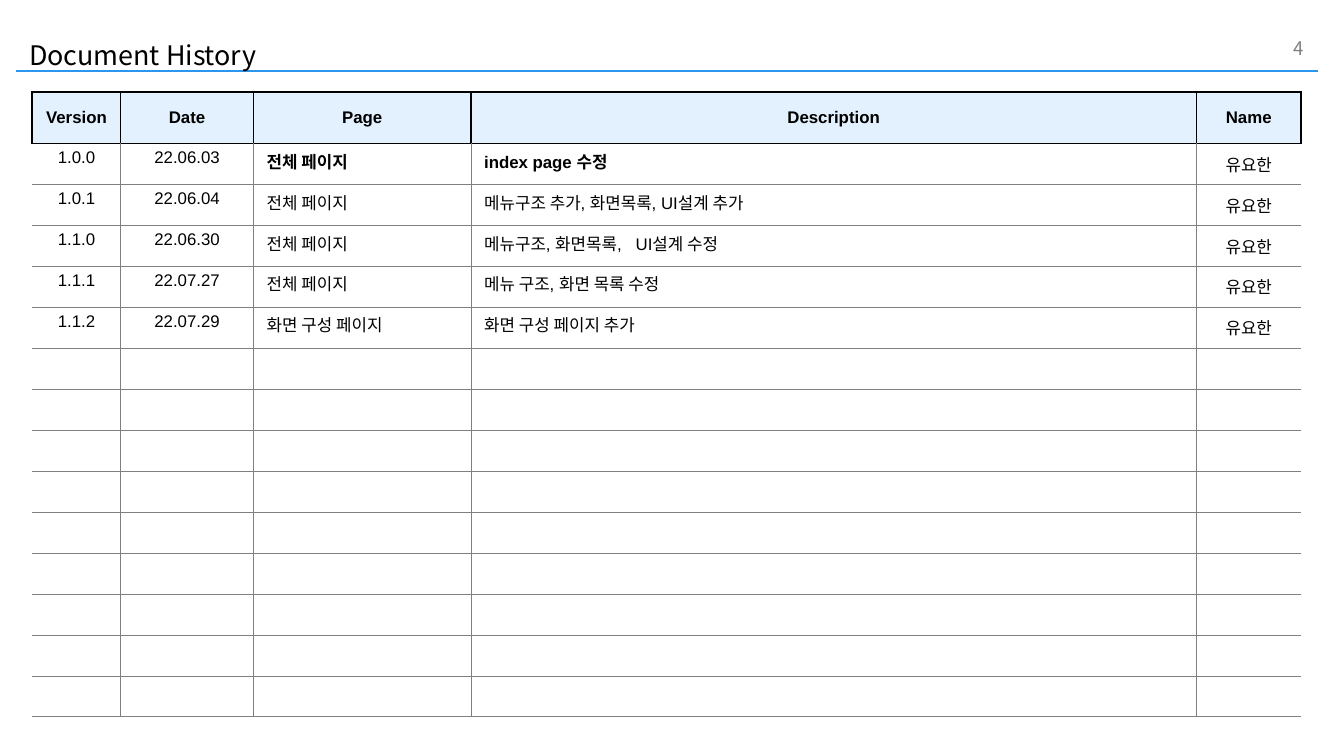
import lxml.etree
import pptx
import pptx.dml.color
import pptx.enum.shapes
import pptx.enum.text
import pptx.oxml.ns
import pptx.util

Cm = pptx.util.Cm
Pt = pptx.util.Pt
ALIGN = pptx.enum.text.PP_ALIGN
ANCHOR = pptx.enum.text.MSO_ANCHOR
qn = pptx.oxml.ns.qn

COLORS = {
    "accent": "2B96ED",
    "header": "E2F1FD",
    "body": "FFFFFF",
    "text": "000000",
    "grid": "808080",
}
KOREAN_FONT = "Noto Sans CJK KR"
HEADINGS = ["Version", "Date", "Page", "Description", "Name"]
COLUMN_WIDTHS = [1.67, 2.51, 4.11, 13.71, 1.98]
HISTORY = [
    ["1.0.0", "22.06.03", "전체 페이지", "index page 수정", "유요한"],
    ["1.0.1", "22.06.04", "전체 페이지", "메뉴구조 추가, 화면목록, UI설계 추가", "유요한"],
    ["1.1.0", "22.06.30", "전체 페이지", "메뉴구조, 화면목록,   UI설계 수정", "유요한"],
    ["1.1.1", "22.07.27", "전체 페이지", "메뉴 구조, 화면 목록 수정", "유요한"],
    ["1.1.2", "22.07.29", "화면 구성 페이지", "화면 구성 페이지 추가", "유요한"],
]
BODY_ROWS = 14
TABLE_HEIGHT = 11.81
HEADER_HEIGHT = 0.97


def rgb(name):
    return pptx.dml.color.RGBColor.from_string(COLORS[name])


def set_all(target, values):
    for name, value in values.items():
        setattr(target, name, value)


class SlideBuilder:
    def __init__(self, slide):
        self.slide = slide
        self.cell_size = Pt(9)
        self.cell_margins = {
            "margin_left": Cm(0.25), "margin_right": Cm(0.25),
            "margin_top": Cm(0.1), "margin_bottom": Cm(0.1),
        }

    def run(self, p, text, color="text", **font):
        r = p.add_run()
        r.text = text
        set_all(r.font, font)
        r.font.color.rgb = rgb(color)
        ea = lxml.etree.SubElement(r.font._element, qn("a:ea"))
        ea.set("typeface", KOREAN_FONT)

    def line(self, x1, y1, x2, y2, color, width):
        sp = self.slide.shapes.add_connector(
            pptx.enum.shapes.MSO_CONNECTOR.STRAIGHT, Cm(x1), Cm(y1), Cm(x2), Cm(y2))
        sp.line.color.rgb = rgb(color)
        sp.line.width = Pt(width)
        lxml.etree.SubElement(sp._element.spPr, qn("a:effectLst"))

    def text(self, x, y, w, h, text, size, color, align, anchor):
        tf = self.slide.shapes.add_textbox(Cm(x), Cm(y), Cm(w), Cm(h)).text_frame
        set_all(tf, {"word_wrap": True, "vertical_anchor": anchor,
                     "margin_top": 0, "margin_bottom": 0})
        p = tf.paragraphs[0]
        p.alignment = align
        self.run(p, text, color, name=KOREAN_FONT, size=Pt(size))

    def borders(self, cell, edges):
        """Draw each edge (L, R, T, B) from a (color, points) pair, or hide it if None."""
        tc_pr = cell._tc.get_or_add_tcPr()
        for i, side in enumerate("LRTB"):
            ln = lxml.etree.Element(qn("a:ln" + side))
            tc_pr.insert(i, ln)
            if edges[side] is None:
                lxml.etree.SubElement(ln, qn("a:noFill"))
                continue
            color, width = edges[side]
            ln.set("w", str(Pt(width)))
            fill = lxml.etree.SubElement(ln, qn("a:solidFill"))
            lxml.etree.SubElement(fill, qn("a:srgbClr")).set("val", COLORS[color])

    def cell(self, cell, text, fill, edges, align, middle, bold):
        set_all(cell, self.cell_margins)
        cell.vertical_anchor = ANCHOR.MIDDLE if middle else ANCHOR.TOP
        cell.fill.solid()
        cell.fill.fore_color.rgb = rgb(fill)
        self.borders(cell, edges)
        p = cell.text_frame.paragraphs[0]
        p.alignment = align
        if middle:
            p.space_before = Pt(2)
        if text:
            self.run(p, text, name="Arial", size=self.cell_size, bold=bold)
        else:
            p._p.get_or_add_endParaRPr().set("sz", str(self.cell_size.centipoints))

    def history_table(self, x, y):
        last = len(HEADINGS) - 1
        rows = [HEADINGS] + HISTORY
        rows += [[""] * len(HEADINGS)] * (BODY_ROWS - len(HISTORY))
        table = self.slide.shapes.add_table(
            len(rows), len(HEADINGS), Cm(x), Cm(y),
            Cm(sum(COLUMN_WIDTHS)), Cm(TABLE_HEIGHT)).table
        set_all(table, {"first_row": False, "horz_banding": False})
        for column, width in zip(table.columns, COLUMN_WIDTHS):
            column.width = Cm(width)
        body_height = (TABLE_HEIGHT - HEADER_HEIGHT) / BODY_ROWS
        strong, thin = ("text", 1), ("grid", 0.25)
        for i, values in enumerate(rows):
            header = i == 0
            table.rows[i].height = Cm(HEADER_HEIGHT if header else body_height)
            for j, value in enumerate(values):
                if header:
                    edges = dict.fromkeys("LRTB", strong)
                else:
                    edges = {"L": thin if j > 0 else None,
                             "R": thin if j < last else None,
                             "T": strong if i == 1 else thin,
                             "B": thin}
                descriptive = j in (2, 3)
                self.cell(
                    table.cell(i, j), value, "header" if header else "body", edges,
                    align=ALIGN.LEFT if descriptive and not header else ALIGN.CENTER,
                    middle=header or j == last,
                    bold=header or (i == 1 and descriptive))


def main():
    prs = pptx.Presentation()
    set_all(prs, {"slide_width": Cm(25.4), "slide_height": Cm(14.29)})
    builder = SlideBuilder(prs.slides.add_slide(prs.slide_layouts[6]))
    builder.line(0.3, 1.35, 24.9, 1.35, "accent", 1)
    builder.text(0.3, 0.58, 20.4, 0.77, "Document History", 14.4, "text",
                 ALIGN.LEFT, ANCHOR.BOTTOM)
    builder.history_table(0.61, 1.74)
    builder.text(23.37, 0.53, 1.52, 0.77, "4", 10, "grid", ALIGN.RIGHT, ANCHOR.MIDDLE)
    prs.save("out.pptx")


if __name__ == "__main__":
    main()
